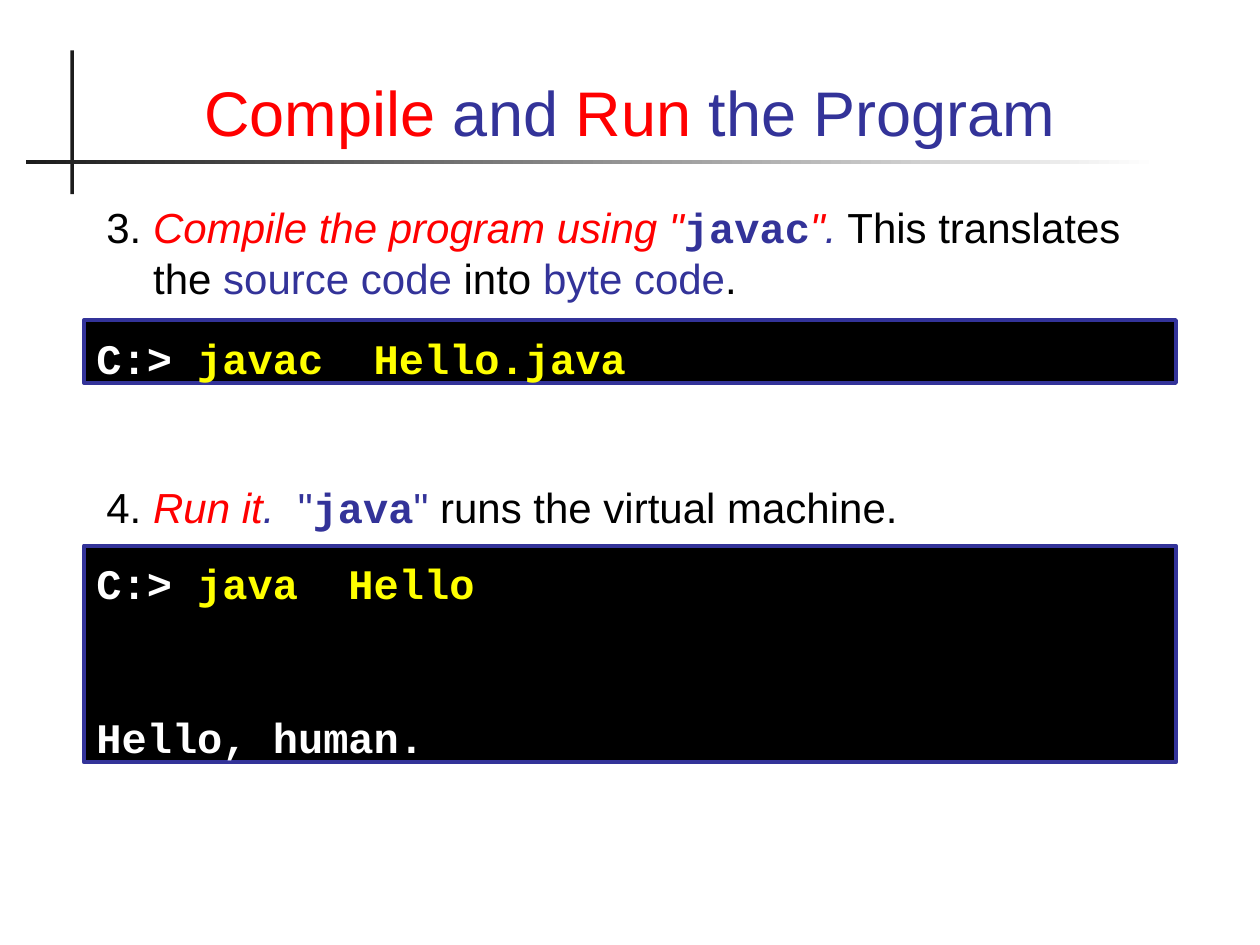
from lxml.etree import SubElement
from pptx import Presentation
from pptx.dml.color import RGBColor
from pptx.enum.shapes import MSO_SHAPE
from pptx.enum.text import MSO_ANCHOR, MSO_AUTO_SIZE, PP_ALIGN
from pptx.oxml.ns import qn
from pptx.util import Pt

RED, BLUE, YELLOW = "FF0000", "333399", "FFFF00"
BLACK, WHITE, CHARCOAL = "000000", "FFFFFF", "1C1C1C"
SANS, MONO = "Arial", "Courier New"
LINE_HEIGHT = 28.8
PARA_GAP = 15
EMPTY_LINE = LINE_HEIGHT + PARA_GAP


def color(hex_text):
    return RGBColor.from_string(hex_text)


def place(shape, left, top, width, height):
    shape.left, shape.top = Pt(left), Pt(top)
    shape.width, shape.height = Pt(width), Pt(height)


def add_span(para, text, ink=BLACK, size=24, font=SANS, bold=False, italic=False):
    span = para.add_run()
    span.text = text
    span.font.name, span.font.size = font, Pt(size)
    span.font.bold, span.font.italic = bold, italic
    span.font.color.rgb = color(ink)


def set_frame(frame, anchor, top_inset=3.6):
    frame.word_wrap = True
    frame.auto_size = MSO_AUTO_SIZE.NONE
    frame.vertical_anchor = anchor
    frame.margin_left = frame.margin_right = Pt(7.2)
    frame.margin_top, frame.margin_bottom = Pt(top_inset), Pt(3.6)


def fill_paragraphs(frame, paragraphs):
    """Each paragraph is (space before, [(text, format), ...])."""
    for index, (space, spans) in enumerate(paragraphs):
        para = frame.add_paragraph() if index else frame.paragraphs[0]
        para.alignment = PP_ALIGN.LEFT
        para.line_spacing = Pt(LINE_HEIGHT)
        para.space_before, para.space_after = Pt(space), Pt(0)
        for text, style in spans:
            add_span(para, text, **style)


def add_rule(page, left, top, width, height):
    rule = page.shapes.add_shape(
        MSO_SHAPE.RECTANGLE, Pt(left), Pt(top), Pt(width), Pt(height))
    rule.shadow.inherit = False
    rule.line.fill.background()
    rule.fill.solid()
    rule.fill.fore_color.rgb = color(CHARCOAL)
    return rule


def add_crossed_rules(page, left, top, width, height):
    add_rule(page, left + 25.2, top, 2, height)
    fading = add_rule(page, left, top + 62.6, width, 2.2)
    fading.fill.gradient()
    fading.fill.gradient_angle = 0
    for stop, ink in zip(fading.fill.gradient_stops, (CHARCOAL, WHITE)):
        stop.color.rgb = color(ink)


def fill_title(title, left, top, width, height):
    place(title, left, top, width, height)
    set_frame(title.text_frame, MSO_ANCHOR.BOTTOM)
    para = title.text_frame.paragraphs[0]
    para.alignment = PP_ALIGN.CENTER
    for text, ink in (("Compile", RED), (" and ", BLUE), ("Run", RED), (" the Program", BLUE)):
        add_span(para, text, ink=ink, size=36)


def fill_steps(body, left, top, width, height):
    place(body, left, top, width, height)
    set_frame(body.text_frame, MSO_ANCHOR.TOP, top_inset=5)
    blue, red_italic = dict(ink=BLUE), dict(ink=RED, italic=True)
    blue_italic = dict(ink=BLUE, italic=True)
    command = dict(ink=BLUE, font=MONO, bold=True)
    fill_paragraphs(body.text_frame, [
        (0, [("3. ", {}), ('Compile the program using "', red_italic), ("javac", command),
             ('"', red_italic), (".", blue_italic), (" This translates the ", {}),
             ("source code", blue), (" into ", {}), ("byte code", blue), (".", {})]),
        (PARA_GAP + 2 * EMPTY_LINE,
         [("4. ", {}), ("Run it", red_italic), (".  ", blue_italic), ('"', blue),
          ("java", command), ('"', blue), (" runs the virtual machine.", {})]),
    ])
    for para in body.text_frame.paragraphs:
        properties = para._p.get_or_add_pPr()
        properties.set("marL", str(Pt(27)))
        properties.set("indent", str(-Pt(26.7)))
        SubElement(properties, qn("a:buNone"))


def add_console(page, left, top, width, height, command, output=None):
    console = page.shapes.add_shape(
        MSO_SHAPE.RECTANGLE, Pt(left), Pt(top), Pt(width), Pt(height))
    console.shadow.inherit = False
    console.fill.solid()
    console.fill.fore_color.rgb = color(BLACK)
    console.line.color.rgb = color(BLUE)
    console.line.width = Pt(2.25)
    set_frame(console.text_frame, MSO_ANCHOR.TOP, top_inset=7)
    typed = dict(font=MONO, bold=True)
    paragraphs = [(0, [("C:> ", dict(typed, ink=WHITE)), (command, dict(typed, ink=YELLOW))])]
    if output:
        paragraphs.append((PARA_GAP + EMPTY_LINE, [(output, dict(typed, ink=WHITE))]))
    fill_paragraphs(console.text_frame, paragraphs)


def main():
    deck = Presentation()
    deck.slide_width, deck.slide_height = Pt(720), Pt(540)
    page = deck.slides.add_slide(deck.slide_layouts[1])
    add_crossed_rules(page, 15, 28.8, 647.3, 82.2)
    fill_title(page.shapes.title, 48, 20.2, 624, 68.4)
    fill_steps(page.placeholders[1], 53.3, 110.2, 623.5, 199.4)
    add_console(page, 48, 182.9, 624, 36, "javac  Hello.java")
    add_console(page, 48, 311.8, 624, 123.8, "java  Hello", "Hello, human.")
    deck.save("out.pptx")


if __name__ == "__main__":
    main()
